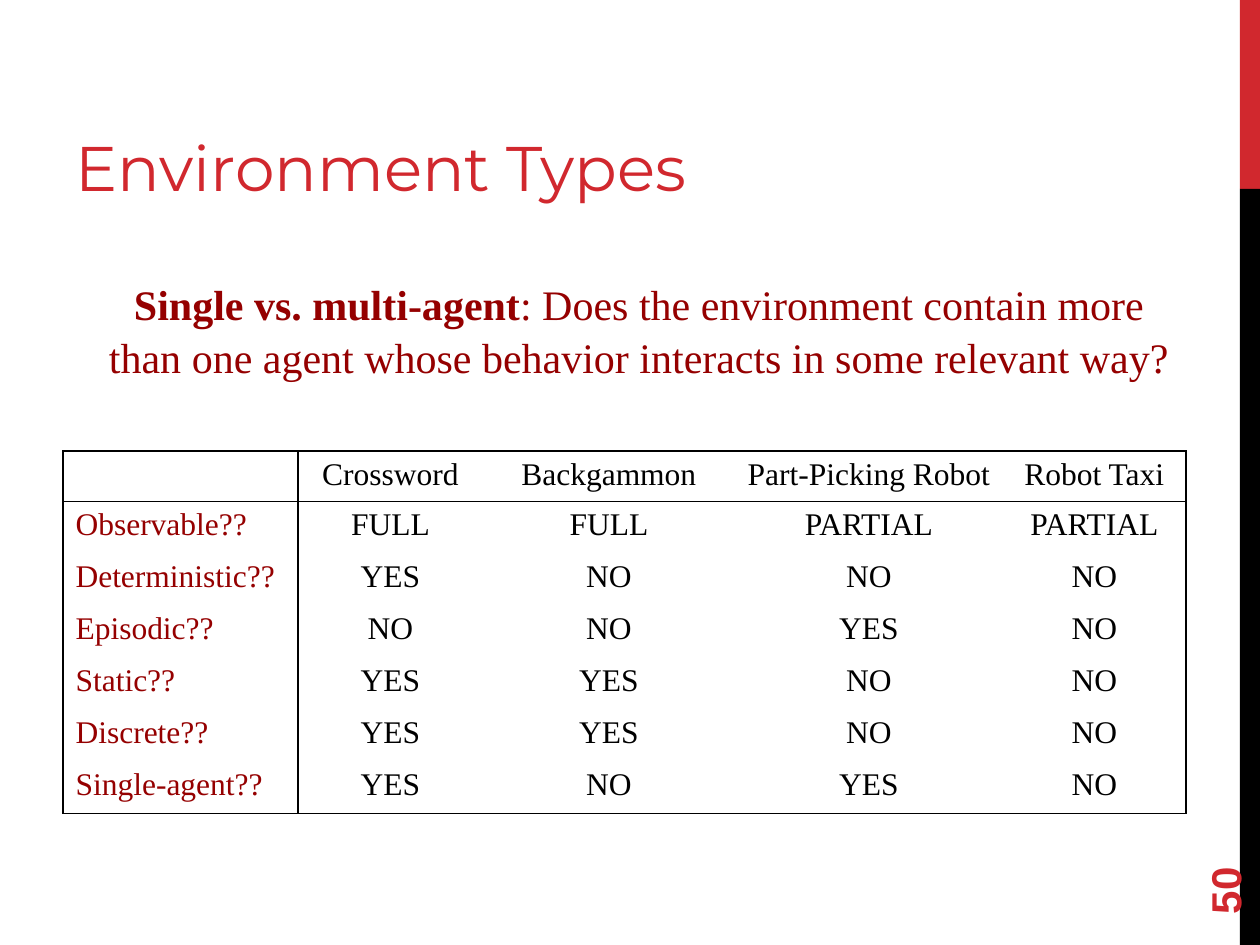
from lxml import etree
from pptx import Presentation, util as u
from pptx.dml.color import RGBColor
from pptx.enum import shapes, text
from pptx.oxml.ns import qn

PX = 914400 // 126
RED, BLACK, WHITE, MAROON = "D1282E", "000000", "FFFFFF", "950000"
SERIF = "Times New Roman"
LEFT, CENTER = text.PP_ALIGN.LEFT, text.PP_ALIGN.CENTER
TOP, MIDDLE, BOTTOM = (text.MSO_ANCHOR.TOP, text.MSO_ANCHOR.MIDDLE,
                       text.MSO_ANCHOR.BOTTOM)

SIDE_BARS = [((1240, 0, 20, 189), RED), ((1240, 189, 20, 756), BLACK)]

TITLE = [("Environment Types", dict(size=36, name="Montserrat", color=RED))]
QUESTION = [
    ("Single vs. multi-agent", dict(size=24, name=SERIF, color=MAROON, bold=True)),
    (": Does the environment contain more than one agent whose behavior "
     "interacts in some relevant way?", dict(size=24, name=SERIF, color=MAROON)),
]
PAGE_NUMBER = [("50", dict(size=24, name="Arial", color=RED, bold=True))]

ENVIRONMENTS = [
    ["", "Crossword", "Backgammon", "Part-Picking Robot", "Robot Taxi"],
    ["Observable??", "FULL", "FULL", "PARTIAL", "PARTIAL"],
    ["Deterministic??", "YES", "NO", "NO", "NO"],
    ["Episodic??", "NO", "NO", "YES", "NO"],
    ["Static??", "YES", "YES", "NO", "NO"],
    ["Discrete??", "YES", "YES", "NO", "NO"],
    ["Single-agent??", "YES", "NO", "YES", "NO"],
]
TABLE_LEFT, TABLE_TOP = 63, 451
COLUMN_WIDTHS = [235, 185, 252, 268, 183]
ROW_HEIGHTS = [48] + [52] * (len(ENVIRONMENTS) - 1)


def rgb(color):
    return RGBColor.from_string(color)


def emu(lengths):
    return [length * PX for length in lengths]


def style_font(font, size, name, color, bold=False):
    for key, value in dict(size=u.Pt(size), name=name, bold=bold).items():
        setattr(font, key, value)
    font.color.rgb = rgb(color)


def add_bar(slide, box, color):
    bar = slide.shapes.add_shape(shapes.MSO_SHAPE.RECTANGLE, *emu(box))
    bar.shadow.inherit = False
    bar.fill.solid()
    bar.fill.fore_color.rgb = rgb(color)
    bar.line.fill.background()


def add_text(slide, box, runs, anchor=TOP, align=LEFT, rotation=0, spacing=1.0):
    holder = slide.shapes.add_textbox(*emu(box))
    holder.rotation = rotation
    frame = holder.text_frame
    frame.word_wrap = True
    frame.vertical_anchor = anchor
    paragraph = frame.paragraphs[0]
    paragraph.alignment = align
    paragraph.line_spacing = spacing
    for words, style in runs:
        run = paragraph.add_run()
        run.text = words
        style_font(run.font, **style)


def set_borders(cell, edges):
    """Draw a 1 pt black line on each named edge and none on the others."""
    properties = cell._tc.get_or_add_tcPr()
    for edge in "LRTB":
        line = etree.SubElement(properties, qn(f"a:ln{edge}"), w=str(u.Pt(1)))
        if edge in edges:
            fill = etree.SubElement(line, qn("a:solidFill"))
            etree.SubElement(fill, qn("a:srgbClr"), val=BLACK)
        else:
            etree.SubElement(line, qn("a:noFill"))


def cell_edges(row, column):
    """Outer frame plus the rules below the header and beside the labels."""
    last_row, last_column = len(ENVIRONMENTS) - 1, len(COLUMN_WIDTHS) - 1
    drawn = {"L": column in (0, 1), "R": column in (0, last_column),
             "T": row in (0, 1), "B": row in (0, last_row)}
    return [edge for edge, shown in drawn.items() if shown]


def add_environment_table(slide):
    box = (TABLE_LEFT, TABLE_TOP, sum(COLUMN_WIDTHS), sum(ROW_HEIGHTS))
    table = slide.shapes.add_table(
        len(ENVIRONMENTS), len(COLUMN_WIDTHS), *emu(box)).table
    table.first_row = table.horz_banding = False
    for column, width in zip(table.columns, emu(COLUMN_WIDTHS)):
        column.width = width
    for row, height in zip(table.rows, emu(ROW_HEIGHTS)):
        row.height = height
    for r, values in enumerate(ENVIRONMENTS):
        for c, value in enumerate(values):
            cell = table.cell(r, c)
            cell.text = value
            cell.margin_left = cell.margin_right = u.Inches(0.1)
            cell.margin_top = cell.margin_bottom = u.Inches(0.05)
            paragraph = cell.text_frame.paragraphs[0]
            paragraph.alignment = CENTER if c else LEFT
            style_font(paragraph.font, 18, SERIF, BLACK if c else MAROON)
            set_borders(cell, cell_edges(r, c))
            cell.fill.solid()
            cell.fill.fore_color.rgb = rgb(WHITE)


def main():
    deck = Presentation()
    deck.slide_width, deck.slide_height = emu((1260, 945))
    slide = deck.slides.add_slide(deck.slide_layouts[6])
    for box, color in SIDE_BARS:
        add_bar(slide, box, color)
    add_text(slide, (63, 21, 798, 189), TITLE, anchor=BOTTOM)
    add_text(slide, (1134, 811, 181, 50), PAGE_NUMBER, anchor=MIDDLE, rotation=270)
    add_environment_table(slide)
    add_text(slide, (87, 270, 1104, 115), QUESTION, align=CENTER, spacing=1.05)
    deck.save("out.pptx")


if __name__ == "__main__":
    main()
